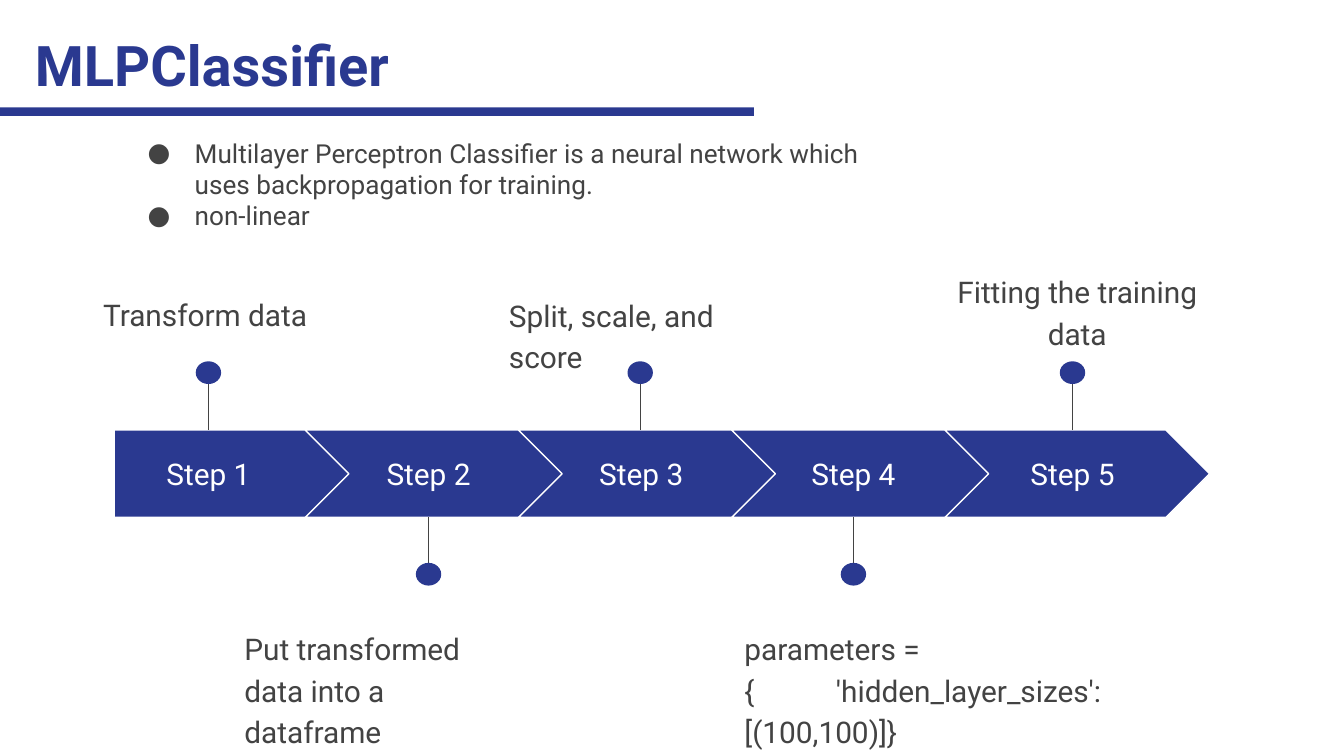
from copy import deepcopy

from lxml import etree
from pptx import Presentation
from pptx import util as u
from pptx.dml.color import RGBColor
from pptx.enum import shapes, text
from pptx.oxml.ns import qn

NAVY, GRAY, WHITE = "2A3990", "434343", "FFFFFF"
SHAPE = shapes.MSO_SHAPE
CENTER = text.PP_ALIGN.CENTER
MIDDLE = text.MSO_ANCHOR.MIDDLE


def rgb(value):
    return RGBColor.from_string(value)


def cm(*values):
    return [u.Cm(v) for v in values]


class Deck:
    font = "Roboto"
    inset = 0.25

    def __init__(self, width, height):
        self.prs = Presentation()
        self.prs.slide_width, self.prs.slide_height = cm(width, height)
        self.s = self.prs.slides.add_slide(self.prs.slide_layouts[6])

    def shape(self, kind, box, line=None):
        sp = self.s.shapes.add_shape(kind, *cm(*box))
        sp.shadow.inherit = False
        sp.fill.solid()
        sp.fill.fore_color.rgb = rgb(NAVY)
        if line:
            sp.line.color.rgb = rgb(line)
            sp.line.width = u.Pt(0.75)
        else:
            sp.line.fill.background()
        return sp

    def stem(self, x, start, end):
        sp = self.s.shapes.add_connector(
            shapes.MSO_CONNECTOR.STRAIGHT, *cm(x, start, x, end))
        sp.line.color.rgb = rgb(GRAY)
        sp.line.width = u.Pt(0.75)
        etree.SubElement(sp._element.spPr, qn("a:effectLst"))

    def text(self, box, paragraphs, size=16, color=GRAY, bold=False,
             anchor=text.MSO_ANCHOR.TOP, bullet=None, tab=None, **para):
        tf = self.s.shapes.add_textbox(*cm(*box)).text_frame
        frame = dict(word_wrap=True, vertical_anchor=anchor)
        for side in ("left", "right", "top", "bottom"):
            frame["margin_" + side] = u.Cm(self.inset)
        for name, value in frame.items():
            setattr(tf, name, value)
        for i, content in enumerate(paragraphs):
            p = tf.add_paragraph() if i else tf.paragraphs[0]
            p.text = content
            for name, value in para.items():
                setattr(p, name, value)
            if bullet:
                self.bullet(p, bullet)
            if tab:
                tabs = etree.SubElement(p._p.get_or_add_pPr(), qn("a:tabLst"))
                etree.SubElement(tabs, qn("a:tab"), pos=str(u.Cm(tab)), algn="l")
            style = dict(name=self.font, size=u.Pt(size), bold=bold)
            for r in p.runs:
                for name, value in style.items():
                    setattr(r.font, name, value)
                r.font.color.rgb = rgb(color)
            for br in p._p.findall(qn("a:br")):
                br.append(deepcopy(p.runs[0]._r.rPr))

    def bullet(self, p, char):
        pPr = p._p.get_or_add_pPr()
        pPr.set("marL", str(u.Cm(1.27)))
        pPr.set("indent", str(u.Cm(-0.89)))
        clr = etree.SubElement(pPr, qn("a:buClr"))
        etree.SubElement(clr, qn("a:srgbClr"), val=GRAY)
        etree.SubElement(pPr, qn("a:buFont"), typeface=self.font)
        etree.SubElement(pPr, qn("a:buChar"), char=char)

    def step(self, box, kind, name_box, name, pin_x, above):
        self.shape(kind, box, WHITE)
        self.text(name_box, [name], color=WHITE, anchor=MIDDLE, alignment=CENTER)
        top, height = box[1], box[3]
        dot_y = 7.05 if above else 10.86
        self.stem(pin_x, dot_y, top if above else top + height)
        self.shape(SHAPE.OVAL, (pin_x - 0.24, dot_y - 0.22, 0.48, 0.43))


def main():
    d = Deck(25.4, 14.29)
    top, height, pitch, first = 8.13, 1.65, 4.03, 5.77
    after = dict(line_spacing=1.15, space_after=u.Pt(16))
    steps = [
        (2.16, 3.94, "Transform data", (1.7, 5.26, 5.46, 0.86), after),
        (6.5, 8.1, "Put transformed data into a dataframe",
         (4.37, 11.58, 5.46, 2.01), after),
        (10.52, 12.1, "Split, scale, and score", (9.37, 5.28, 5.46, 1.04), after),
        (14.53, 16.13, "parameters =\v{\t'hidden_layer_sizes':[(100,100)]}",
         (13.82, 11.58, 7.57, 1.65), dict(line_spacing=1.15, tab=1.73)),
        (18.67, 20.27, "Fitting the training data",
         (17.63, 4.83, 5.46, 1.32), dict(after, alignment=CENTER)),
    ]
    for i, (name_x, pin_x, label, label_box, style) in enumerate(steps):
        if i:
            kind, box = SHAPE.CHEVRON, (first + (i - 1) * pitch, top, 5, height)
        else:
            kind, box = SHAPE.PENTAGON, (2.16, top, 4.57, height)
        name_box = (name_x, 8.43, 3.2 if i else 3.56, 1.04)
        d.step(box, kind, name_box, f"Step {i + 1}", pin_x, i % 2 == 0)
        d.text(label_box, [label], **style)

    d.text((2.16, 2.34, 14.99, 2.24), [
        "Multilayer Perceptron Classifier is a neural network which uses "
        "backpropagation for training.",
        "non-linear",
    ], size=14, bullet="●")
    d.shape(SHAPE.RECTANGLE, (0, 2.03, 14.25, 0.16))
    d.text((0.41, 0.33, 14.15, 1.32), ["MLPClassifier"],
           size=30, color=NAVY, bold=True)
    d.prs.save("out.pptx")


if __name__ == "__main__":
    main()
